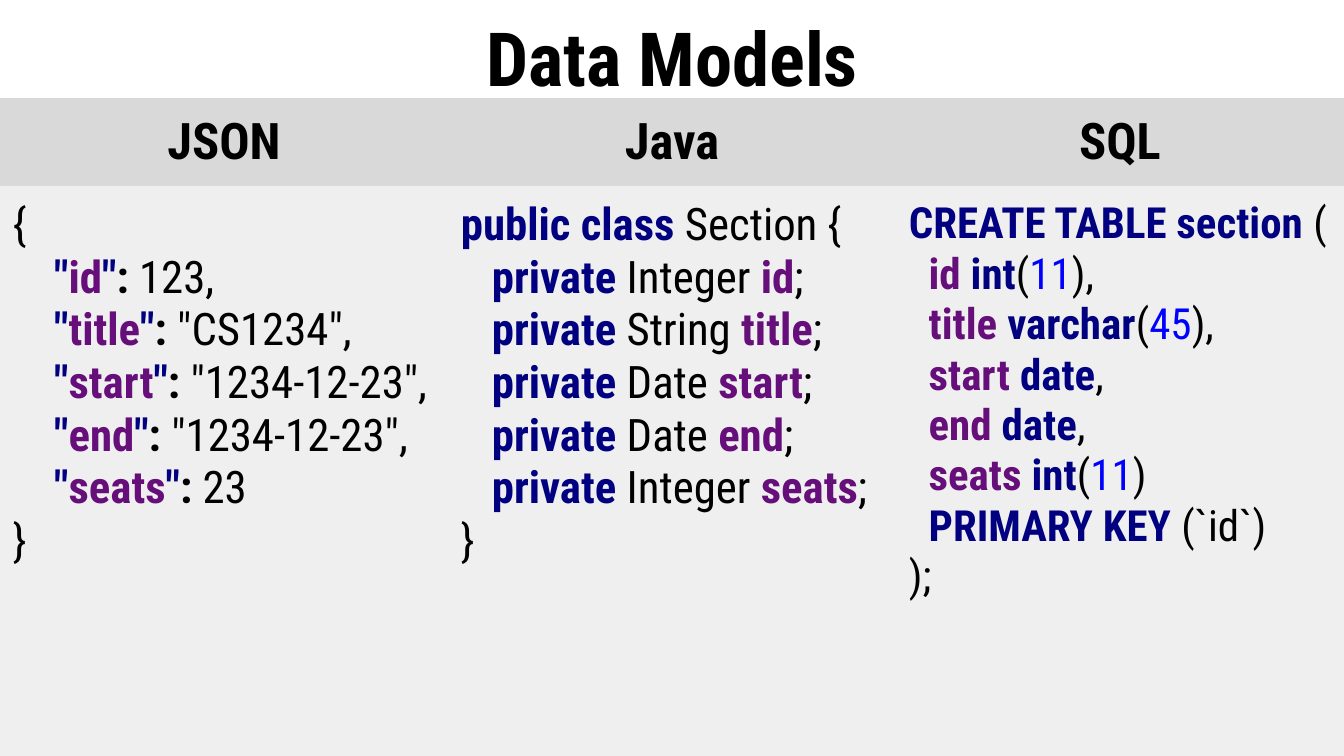
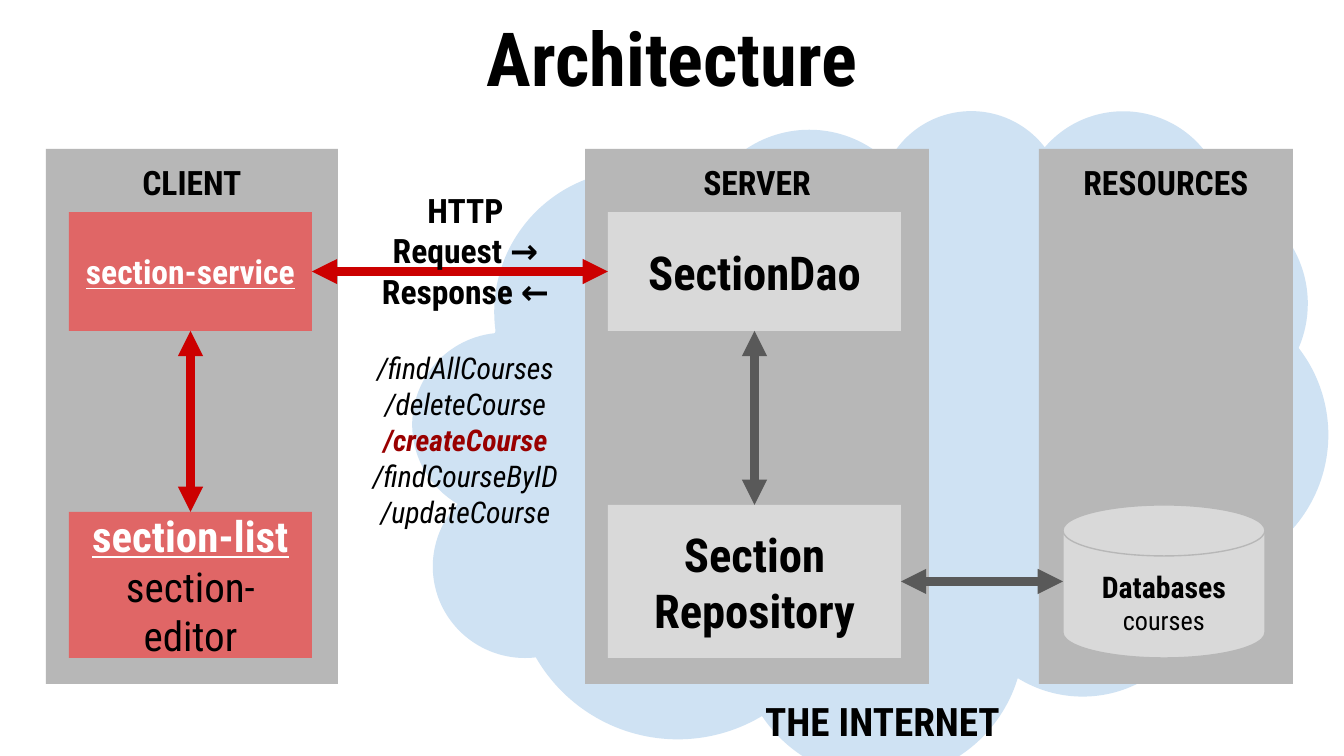
import dataclasses

import lxml.etree
import pptx
import pptx.dml.color
import pptx.enum.shapes
import pptx.enum.text
import pptx.oxml.ns
import pptx.util

SHAPE = pptx.enum.shapes.MSO_SHAPE
ANCHOR = pptx.enum.text.MSO_ANCHOR
ALIGN = pptx.enum.text.PP_ALIGN
TOP, LEFT, BOTTOM, RIGHT = range(4)
SLIDE_W, SLIDE_H = 1344, 756
EMU_PER_PX = 914400 * 10 / SLIDE_W
NO_TABLE_STYLE = "{2D5ABB26-0587-4C30-8999-92F81FD0307C}"


@dataclasses.dataclass(frozen=True)
class Theme:
    font: str = "Roboto Condensed"
    black: str = "000000"
    white: str = "FFFFFF"
    keyword: str = "000080"
    field: str = "660E7A"
    number: str = "0000FF"
    header: str = "D9D9D9"
    body: str = "EFEFEF"
    panel: str = "B7B7B7"
    box: str = "D9D9D9"
    active: str = "E06666"
    active_arrow: str = "CC0000"
    active_path: str = "990000"
    arrow: str = "595959"
    cloud: str = "CFE2F3"
    title_size: int = 40
    header_size: int = 27
    code_size: int = 24
    sql_size: int = 23
    component_size: int = 25
    list_size: int = 23
    editor_size: int = 22
    internet_size: int = 21
    label_size: int = 18
    small_size: int = 16
    tiny_size: int = 14
    arrow_width: float = 4.5
    outline_width: float = 0.75


THEME = Theme()


def px(length):
    return pptx.util.Emu(round(length * EMU_PER_PX))


def rgb(colour):
    return pptx.dml.color.RGBColor.from_string(colour)


def set_all(target, values):
    for name, value in values.items():
        setattr(target, name, value)


def style(size, colour=THEME.black, bold=True, italic=False, underline=False):
    return {"size": pptx.util.Pt(size), "colour": colour, "bold": bold,
            "italic": italic, "underline": underline}


def write(frame, lines, align=ALIGN.CENTER, gaps=()):
    """Fill a frame with lines of (text, style) runs; gaps maps a line to its space before."""
    gaps = dict(gaps)
    for index, runs in enumerate(lines):
        paragraph = frame.paragraphs[0] if index == 0 else frame.add_paragraph()
        paragraph.alignment = align
        if index in gaps:
            paragraph.space_before = pptx.util.Pt(gaps[index])
        for text, look in runs:
            for part_index, part in enumerate(text.split("\n")):
                if part_index:
                    paragraph.add_line_break()
                run = paragraph.add_run()
                run.text = part
                format_values = {key: look[key] for key in look if key != "colour"}
                set_all(run.font, {"name": THEME.font, **format_values})
                run.font.color.rgb = rgb(look["colour"])


def inset(holder, anchor):
    """Set margins and anchor on a text frame or a table cell."""
    sides = ("left", "top", "right", "bottom")
    set_all(holder, {f"margin_{side}": px(13) for side in sides})
    holder.vertical_anchor = anchor


def write_in(shape, lines, anchor=ANCHOR.TOP, gaps=()):
    frame = shape.text_frame
    frame.word_wrap = True
    frame.auto_size = pptx.enum.text.MSO_AUTO_SIZE.NONE
    inset(frame, anchor)
    write(frame, lines, gaps=gaps)


def add_block(slide, box, fill, lines=(), anchor=ANCHOR.TOP, kind=SHAPE.RECTANGLE, outline=None):
    block = slide.shapes.add_shape(kind, *map(px, box))
    block.shadow.inherit = False
    block.fill.solid()
    block.fill.fore_color.rgb = rgb(fill)
    if outline:
        block.line.color.rgb = rgb(outline)
        block.line.width = pptx.util.Pt(THEME.outline_width)
    else:
        block.line.fill.background()
    write_in(block, lines, anchor)
    return block


def add_label(slide, box, lines, gaps=()):
    write_in(slide.shapes.add_textbox(*map(px, box)), lines, gaps=gaps)


def add_titled_slide(deck, title):
    slide = deck.slides.add_slide(deck.slide_layouts[5])
    heading = slide.shapes.title
    set_all(heading, {"left": px(0), "top": px(-1), "width": px(SLIDE_W), "height": px(100)})
    write_in(heading, [[(title, style(THEME.title_size))]])
    return slide


def side_middle(shape, side):
    x = {LEFT: 0, RIGHT: shape.width}.get(side, shape.width // 2)
    y = {TOP: 0, BOTTOM: shape.height}.get(side, shape.height // 2)
    return shape.left + x, shape.top + y


def add_double_arrow(slide, start, end, colour):
    """Join two (shape, side) ends with a two-headed arrow."""
    arrow = slide.shapes.add_connector(
        pptx.enum.shapes.MSO_CONNECTOR.STRAIGHT, *side_middle(*start), *side_middle(*end))
    for (shape, side), connect in ((start, arrow.begin_connect), (end, arrow.end_connect)):
        if shape.auto_shape_type == SHAPE.RECTANGLE:
            connect(shape, side)
    arrow.line.color.rgb = rgb(colour)
    arrow.line.width = pptx.util.Pt(THEME.arrow_width)
    for tag in ("a:headEnd", "a:tailEnd"):
        lxml.etree.SubElement(arrow.get_or_add_ln(), pptx.oxml.ns.qn(tag), type="triangle")
    lxml.etree.SubElement(arrow._element.spPr, pptx.oxml.ns.qn("a:effectLst"))


def code_styles(size):
    """Return the keyword, field, number, plain and bold styles."""
    return (style(size, THEME.keyword), style(size, THEME.field),
            style(size, THEME.number, False), style(size, bold=False), style(size))


def json_lines():
    keyword, field, _, plain, bold = code_styles(THEME.code_size)
    values = [("id", "123,"), ("title", '"CS1234",'), ("start", '"1234-12-23",'),
              ("end", '"1234-12-23",'), ("seats", "23")]
    members = [[('    "', keyword), (name, field), ('"', keyword), (": ", bold), (value, plain)]
               for name, value in values]
    return [[("{", plain)], *members, [("}", plain)]]


def java_lines():
    keyword, field, _, plain, _ = code_styles(THEME.code_size)
    members = [("Integer", "id"), ("String", "title"), ("Date", "start"),
               ("Date", "end"), ("Integer", "seats")]
    return [[("public class ", keyword), ("Section {", plain)],
            *[[("   private ", keyword), (f"{kind} ", plain), (name, field), (";", plain)]
              for kind, name in members],
            [("}", plain)]]


def sql_lines():
    keyword, field, number, plain, _ = code_styles(THEME.sql_size)
    columns = [("id", "int", "11", ","), ("title", "varchar", "45", ","),
               ("start", "date", "", ","), ("end", "date", "", ","), ("seats", "int", "11", "")]
    lines = [[("CREATE TABLE section ", keyword), ("(", plain)]]
    for name, kind, length, comma in columns:
        size = [("(", plain), (length, number), (")" + comma, plain)] if length else [(comma, plain)]
        lines.append([("  ", plain), (f"{name} ", field), (kind, keyword), *size])
    lines.append([("  ", plain), ("PRIMARY KEY ", keyword), ("(`id`)", plain)])
    return lines + [[(");", plain)]]


def fill_cell(cell, lines, fill, anchor, align):
    cell.fill.solid()
    cell.fill.fore_color.rgb = rgb(fill)
    inset(cell, anchor)
    write(cell.text_frame, lines, align)


def add_model_table(slide, box, header_height):
    models = [("JSON", json_lines()), ("Java", java_lines()), ("SQL", sql_lines())]
    table = slide.shapes.add_table(2, len(models), *map(px, box)).table
    set_all(table, {"first_row": False, "horz_banding": False})
    table._tbl.tblPr.find(pptx.oxml.ns.qn("a:tableStyleId")).text = NO_TABLE_STYLE
    table.rows[0].height = px(header_height)
    table.rows[1].height = px(box[3] - header_height)
    for column, (language, code) in enumerate(models):
        table.columns[column].width = px(box[2] // len(models))
        fill_cell(table.cell(0, column), [[(language, style(THEME.header_size))]],
                  THEME.header, ANCHOR.MIDDLE, ALIGN.CENTER)
        fill_cell(table.cell(1, column), code, THEME.body, ANCHOR.TOP, ALIGN.LEFT)


def add_panel(slide, box, name):
    add_block(slide, box, THEME.panel, [[(name, style(THEME.label_size))]])


def add_client(slide, box):
    x, y, width, _ = box
    add_panel(slide, box, "CLIENT")
    inner = width - 49
    listing = add_block(
        slide, (x + 23, y + 363, inner, 146), THEME.active,
        [[("section-list", style(THEME.list_size, THEME.white, underline=True))],
         [("section-editor", style(THEME.editor_size, bold=False))]], ANCHOR.MIDDLE)
    service = add_block(
        slide, (x + 23, y + 63, inner, 119), THEME.active,
        [[("section-service", style(THEME.label_size, THEME.white, underline=True))]],
        ANCHOR.MIDDLE)
    add_double_arrow(slide, (listing, TOP), (service, BOTTOM), THEME.active_arrow)
    return service


def add_server(slide, box):
    x, y, width, _ = box
    add_panel(slide, box, "SERVER")
    repository, dao = [
        add_block(slide, (x + 23, y + top, width - 51, height), THEME.box,
                  [[(name, style(THEME.component_size))]], ANCHOR.MIDDLE)
        for name, top, height in (("Section\nRepository", 356, 153), ("SectionDao", 63, 119))]
    add_double_arrow(slide, (repository, TOP), (dao, BOTTOM), THEME.arrow)
    return dao, repository


def add_resources(slide, box):
    x, y, width, _ = box
    add_panel(slide, box, "RESOURCES")
    return add_block(
        slide, (x + 24, y + 356, width - 52, 153), THEME.box,
        [[("Databases", style(THEME.small_size))],
         [("courses", style(THEME.tiny_size, bold=False))]],
        kind=SHAPE.FLOWCHART_MAGNETIC_DISK, outline=THEME.panel)


def add_http_calls(slide, box):
    protocol = style(THEME.label_size)
    call = style(THEME.small_size, bold=False, italic=True)
    current = style(THEME.small_size, THEME.active_path, italic=True)
    lines = [("HTTP", protocol), ("Request →", protocol), ("Response ←", protocol),
             ("/findAllCourses", call), ("/deleteCourse", call), ("/createCourse", current),
             ("/findCourseByID", call), ("/updateCourse", call)]
    add_label(slide, box, [[line] for line in lines], gaps={3: 21})


def add_architecture(slide, box):
    x, y, _, _ = box
    add_block(slide, (x + 367, y - 40, 915, 668), THEME.cloud, kind=SHAPE.CLOUD)
    databases = add_resources(slide, (x + 993, y, 254, 535))
    service = add_client(slide, (x, y, 292, 535))
    dao, repository = add_server(slide, (x + 539, y, 344, 535))
    add_double_arrow(slide, (service, RIGHT), (dao, LEFT), THEME.active_arrow)
    add_http_calls(slide, (x + 303, y + 28, 233, 507))
    add_double_arrow(slide, (repository, RIGHT), (databases, LEFT), THEME.arrow)
    add_label(slide, (x + 686, y + 535, 301, 54),
              [[("THE INTERNET", style(THEME.internet_size))]])


def main():
    deck = pptx.Presentation()
    set_all(deck, {"slide_width": px(SLIDE_W), "slide_height": px(SLIDE_H)})
    add_model_table(add_titled_slide(deck, "Data Models"), (0, 98, SLIDE_W, 658), 88)
    add_architecture(add_titled_slide(deck, "Architecture"), (46, 149, 1247, 535))
    deck.save("out.pptx")


if __name__ == "__main__":
    main()
